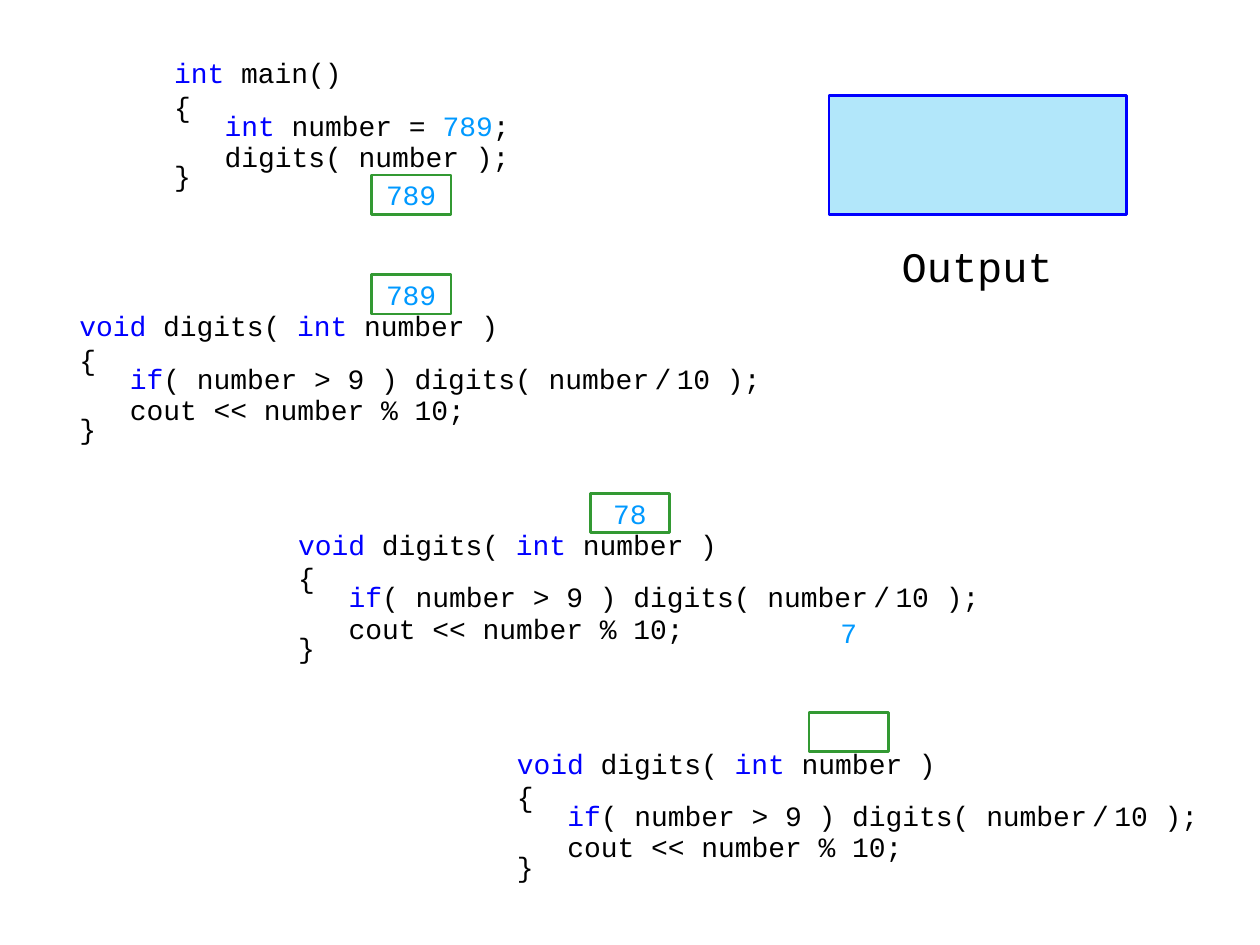
from dataclasses import dataclass

from lxml.etree import SubElement
from pptx import Presentation
from pptx.dml.color import RGBColor as RGB
from pptx.enum.shapes import MSO_SHAPE as Shape
from pptx.enum.text import MSO_ANCHOR as Anchor, PP_ALIGN as Align
from pptx.oxml.ns import qn
from pptx.util import Cm, Pt


@dataclass(frozen=True)
class Theme:
    font: str = "Courier New"
    code_size: int = 16
    caption_size: int = 24
    line_width: float = 1.5
    text: str = "000000"
    keyword: str = "0000FF"
    value: str = "0099FF"
    memory: str = "339933"
    screen: str = "00B0F0"
    screen_alpha: int = 30


THEME = Theme()
CODE_INDENT = Cm(1.02)  # three characters

# Code lines: (line spacing, indented, runs); a run is (text, colour, tracking in pt)
PLAIN, KEY, VALUE = THEME.text, THEME.keyword, THEME.value
MAIN_CODE = [
    (1, False, [("int", KEY, 0), (" main()", PLAIN, 0)]),
    (1, False, [("{", PLAIN, 0)]),
    (0.5, True, [("int", KEY, 0), (" number = ", PLAIN, 0),
                 ("789", VALUE, 0), (";", PLAIN, 0)]),
    (1, True, [("digits( number );", PLAIN, 0)]),
    (0.5, False, [("}", PLAIN, 0)]),
]
DIGITS_CODE = [
    (1, False, [("void", KEY, 0), (" digits( ", PLAIN, 0),
                ("int", KEY, 0), (" number )", PLAIN, 0)]),
    (1, False, [("{", PLAIN, 0)]),
    (0.5, True, [("if", KEY, 0), ("( number > 9 ) digits( numbe", PLAIN, 0),
                 ("r/", PLAIN, 3), ("10 );", PLAIN, 0)]),
    (1, True, [("cout << number % 10;", PLAIN, 0)]),
    (0.5, False, [("}", PLAIN, 0)]),
]


class SlideBuilder:
    def __init__(self, slide, theme):
        self.slide = slide
        self.theme = theme

    def add_run(self, paragraph, text, color, size, tracking=0):
        run = paragraph.add_run()
        run.text = text
        run.font.name = self.theme.font
        run.font.size = Pt(size)
        run.font.color.rgb = RGB.from_string(color)
        if tracking:
            run.font._element.set("spc", str(tracking * 100))

    def centered_line(self, frame, text, color, size):
        line = frame.paragraphs[0]
        line.alignment = Align.CENTER
        before = SubElement(line._p.get_or_add_pPr(), qn("a:spcBef"))
        SubElement(before, qn("a:spcPct"), val="50000")
        self.add_run(line, text, color, size)

    def text_box(self, left, top, width, height):
        box = self.slide.shapes.add_textbox(Cm(left), Cm(top), Cm(width), Cm(height))
        box.text_frame.word_wrap = True
        return box.text_frame

    def code(self, left, top, width, height, lines, insets):
        frame = self.text_box(left, top, width, height)
        (frame.margin_left, frame.margin_top,
         frame.margin_right, frame.margin_bottom) = map(Cm, insets)
        for number, (spacing, indented, runs) in enumerate(lines):
            line = frame.add_paragraph() if number else frame.paragraphs[0]
            line.line_spacing = spacing
            if indented:
                line._p.get_or_add_pPr().set("marL", str(CODE_INDENT))
            for text, color, tracking in runs:
                self.add_run(line, text, color, self.theme.code_size, tracking)

    def rectangle(self, left, top, width, height, line_color, fill=None, alpha=100):
        box = self.slide.shapes.add_shape(
            Shape.RECTANGLE, Cm(left), Cm(top), Cm(width), Cm(height))
        box.shadow.inherit = False
        box.line.color.rgb = RGB.from_string(line_color)
        box.line.width = Pt(self.theme.line_width)
        if fill:
            box.fill.solid()
            box.fill.fore_color.rgb = RGB.from_string(fill)
            color = box.fill._xPr.find(".//" + qn("a:srgbClr"))
            SubElement(color, qn("a:alpha"), val=str(alpha * 1000))
        else:
            box.fill.background()
        return box.text_frame

    def memory_cell(self, left, top, value="", framed=True):
        area = (left, top, 1.6, 0.79)
        if framed:
            frame = self.rectangle(*area, self.theme.memory)
        else:
            frame = self.text_box(*area)
        if not value:
            return
        frame.word_wrap = False
        frame.vertical_anchor = Anchor.MIDDLE
        frame.margin_left = frame.margin_right = Cm(0.25)
        frame.margin_top = frame.margin_bottom = 0
        self.centered_line(frame, value, self.theme.value, self.theme.code_size)

    def caption(self, left, top, width, height, text):
        frame = self.text_box(left, top, width, height)
        self.centered_line(frame, text, self.theme.text, self.theme.caption_size)


def main():
    deck = Presentation()
    deck.slide_width, deck.slide_height = Cm(25.4), Cm(19.05)
    page = SlideBuilder(deck.slides.add_slide(deck.slide_layouts[6]), THEME)

    # Main program
    page.code(3.1, 1.12, 7.59, 2.79, MAIN_CODE, (0.41, 0, 0.25, 0.25))

    # Recursive calls, stepping down to the right
    call_left, call_top, step = 1.09, 5.92, 4.41
    cell_right, cell_up, argument_up = 6.4, 0.38, 2.01
    cells = []
    for depth in range(3):
        left, top = call_left + depth * step, call_top + depth * step
        page.code(left, top, 14.81, 3.2, DIGITS_CODE, (0.51, 0.3, 0.1, 0.25))
        cells.append((left + cell_right, top - cell_up))

    # Parameter of each call; the last one is not yet filled
    for (left, top), value in zip(cells, ("789", "78", "")):
        page.memory_cell(left, top, value)

    # Arguments being passed to the first and last call
    for (left, top), value, framed in ((cells[0], "789", True), (cells[2], "7", False)):
        page.memory_cell(left, top - argument_up, value, framed)

    # Output screen
    page.rectangle(16.71, 1.93, 6, 2.39, THEME.keyword, THEME.screen, THEME.screen_alpha)
    page.caption(17.5, 4.72, 4.4, 1.2, "Output")

    deck.save("out.pptx")


if __name__ == "__main__":
    main()
